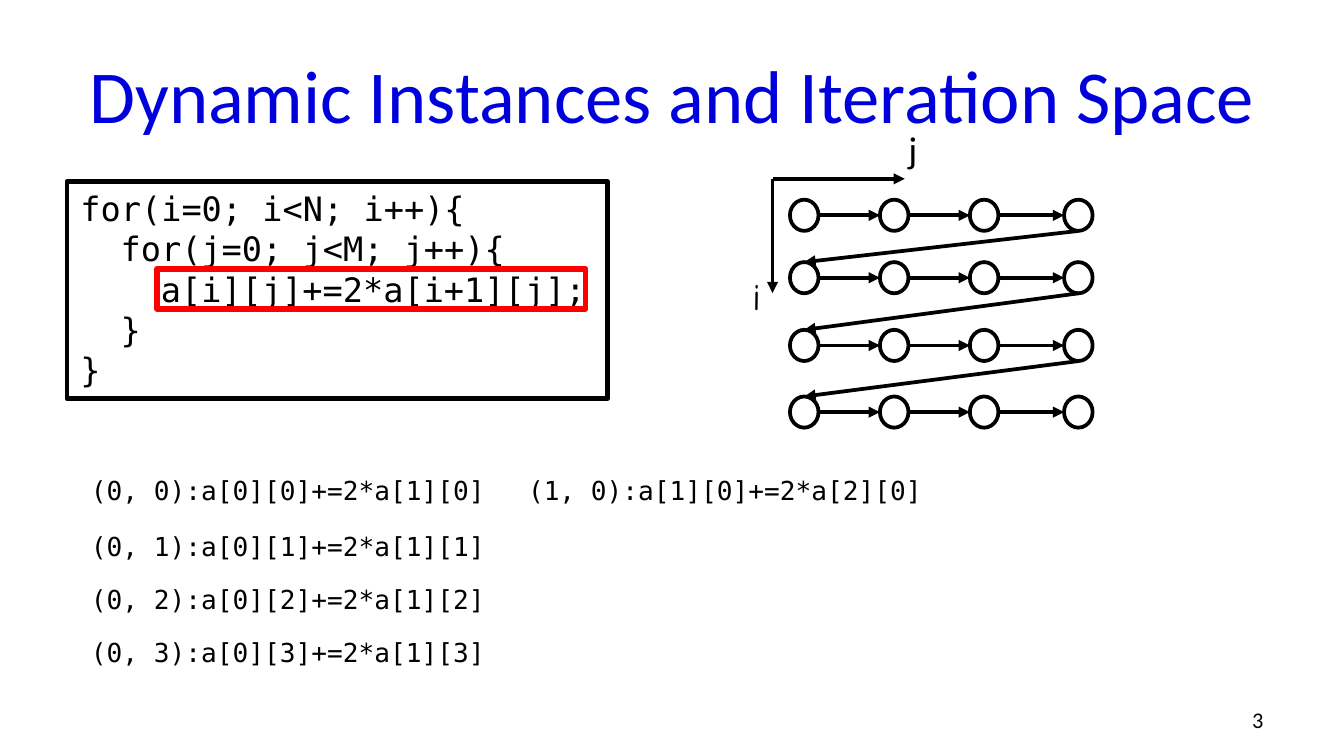
from lxml.etree import SubElement as Sub
from pptx import Presentation
from pptx.dml.color import RGBColor as Rgb
from pptx.enum.shapes import MSO_CONNECTOR as Conn, MSO_SHAPE as Form
from pptx.enum.text import MSO_ANCHOR as Anchor, PP_ALIGN as Align
from pptx.oxml.ns import qn
from pptx.util import Cm, Pt

# Content
TITLE = "Dynamic Instances and Iteration Space"
CODE = [  # nesting level, line
    (0, "for(i=0; i<N; i++){"),
    (1, "for(j=0; j<M; j++){"),
    (2, "a[i][j]+=2*a[i+1][j];"),
    (1, "}"),
    (0, "}"),
]
STEPS = [(0, 0), (0, 1), (0, 2), (0, 3), (1, 0)]
PAGE = "3"

# Theme
THEME = {
    "ink": Rgb(0, 0, 0), "head": Rgb(0, 0, 0xDC), "mark": Rgb(255, 0, 0),
    "sans": "Calibri", "mono": "DejaVu Sans Mono", "hand": "Comic Neue",
    "title": 40, "axis": 20, "code": 18, "step": 14, "page": 12,
}

# Layout, in cm
COLS = [15.2, 16.9, 18.6, 20.38]
ROWS = [4.07, 5.25, 6.53, 7.79]
NODE_W, NODE_H = 0.54, 0.59
TAB = 0.76
STEP_X = [1.47, 9.73]
STEP_Y = [8.84, 9.91, 10.9, 11.91]
AXIS_X, AXIS_Y = 14.6, 3.38

deck = Presentation()
deck.slide_width, deck.slide_height = Cm(25.4), Cm(14.29)
slide = deck.slides.add_slide(deck.slide_layouts[6])
shapes = slide.shapes


def style(para, size, font="sans", color="ink", align=Align.LEFT):
    para.alignment = align
    for run in para.runs:
        run.font.size = Pt(THEME[size])
        run.font.name = THEME[font]
        run.font.color.rgb = THEME[color]


def label(text, box, size, font="sans", color="ink", align=Align.LEFT,
          anchor=Anchor.TOP, wrap=True):
    frame = shapes.add_textbox(*map(Cm, box)).text_frame
    frame.word_wrap = wrap
    frame.vertical_anchor = anchor
    frame.text = text
    style(frame.paragraphs[0], size, font, color, align)


def outline(form, box, width, color="ink"):
    shape = shapes.add_shape(form, *map(Cm, box))
    shape.shadow.inherit = False
    shape.fill.background()
    shape.line.color.rgb = THEME[color]
    shape.line.width = Pt(width)
    return shape


def arrow(x1, y1, x2, y2):
    line = shapes.add_connector(Conn.STRAIGHT, *map(Cm, (x1, y1, x2, y2)))
    line.line.color.rgb = THEME["ink"]
    line.line.width = Pt(2)
    Sub(line.line._get_or_add_ln(), qn("a:tailEnd"), type="triangle")
    Sub(line._element.spPr, qn("a:effectLst"))


# Title and page number
label(TITLE, (1.27, 0.58, 22.86, 2.39), "title", color="head",
      align=Align.CENTER, anchor=Anchor.MIDDLE)
label(PAGE, (18.21, 13.23, 5.92, 0.76), "page", align=Align.RIGHT,
      anchor=Anchor.MIDDLE)

# Loop code, indented by nesting level
frame = outline(Form.RECTANGLE, (1.27, 3.43, 10.21, 4.11), 2.5).text_frame
frame.word_wrap = True
frame.vertical_anchor = Anchor.TOP
for n, (level, text) in enumerate(CODE):
    para = frame.add_paragraph() if n else frame.paragraphs[0]
    para.text = text
    para._p.get_or_add_pPr().set("marL", str(Cm(level * TAB)))
    style(para, "code", "mono")

# Order of the iterations: along each row, then back to the next
for n, y in enumerate(ROWS):
    for a, b in zip(COLS, COLS[1:]):
        arrow(a + NODE_W / 2, y, b - NODE_W / 2, y)
    if n + 1 < len(ROWS):
        arrow(COLS[-1], y + NODE_H / 2, COLS[0], ROWS[n + 1] - NODE_H / 2)

# Iteration nodes
for y in ROWS:
    for x in COLS:
        outline(Form.OVAL, (x - NODE_W / 2, y - NODE_H / 2, NODE_W, NODE_H), 2)

# Axes
arrow(AXIS_X, AXIS_Y, AXIS_X, 5.54)
arrow(AXIS_X, AXIS_Y, 17.1, AXIS_Y)
label("j", (16.92, 2.26, 0.56, 0.99), "axis", wrap=False)
label("i", (13.97, 5.03, 0.58, 0.99), "axis", "hand", wrap=False)

# Highlighted statement
outline(Form.RECTANGLE, (2.97, 5.08, 8.1, 0.76), 3, "mark")

# Dynamic instances, one column per i
for i, j in STEPS:
    label(f"({i}, {j}):a[{i}][{j}]+=2*a[{i + 1}][{j}]",
          (STEP_X[i], STEP_Y[j], 8.46, 0.86), "step", "mono")

deck.save("out.pptx")
